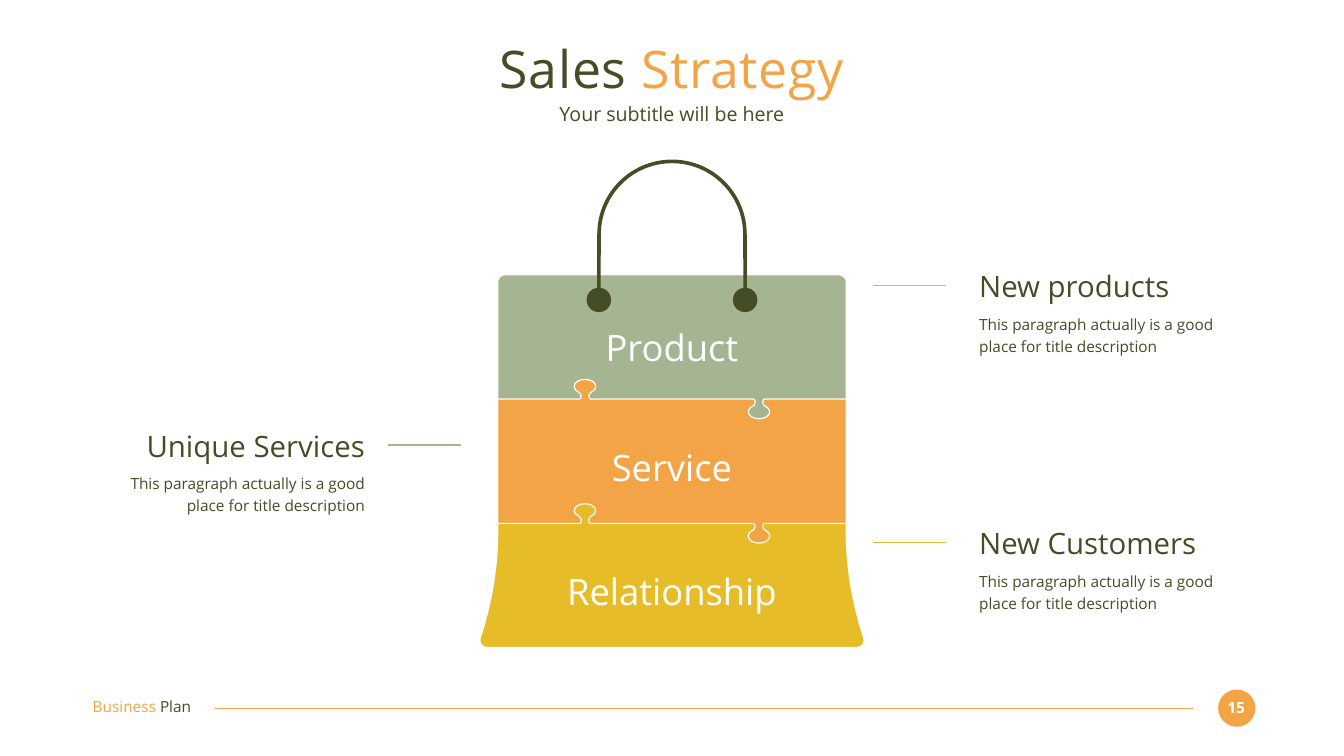
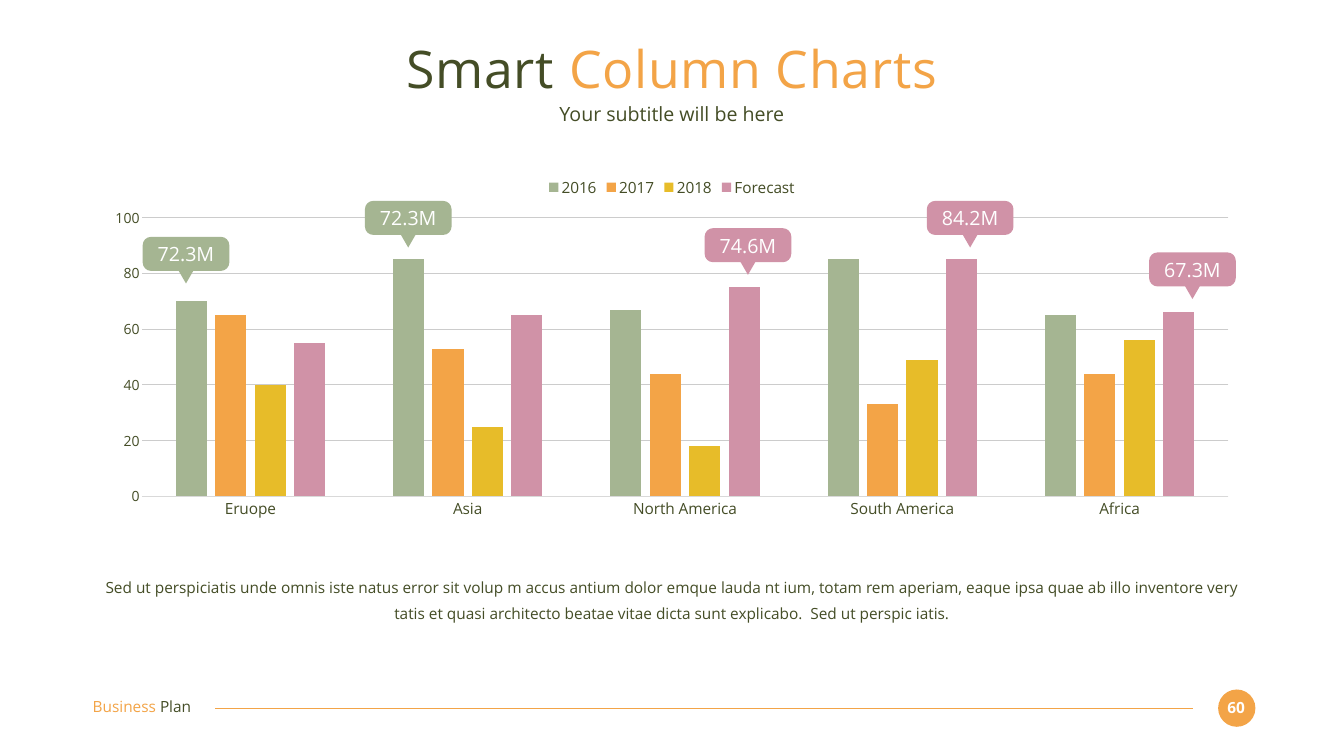
import math
from dataclasses import dataclass
from typing import NamedTuple

from lxml import etree
from pptx import Presentation
from pptx import slide as sld
from pptx import util as u
from pptx.chart import data
from pptx.dml import color
from pptx.enum import chart as charts
from pptx.enum import shapes, text
from pptx.oxml import ns

Pt = u.Pt
Run = tuple[str, str]  # words, colour


class Node(NamedTuple):
    """Outline point; two control nodes before a plain one make a curve."""
    x: float
    y: float
    control: bool = False


@dataclass(frozen=True)
class Theme:
    font: str = "Open Sans"
    dark: str = "444D26"
    orange: str = "F3A447"
    sage: str = "A5B592"
    gold: str = "E7BC29"
    pink: str = "D092A7"
    white: str = "FFFFFF"
    grid: str = "CCCCCC"
    axis: str = "D9D9D9"
    title: float = 74
    bag_label: float = 52
    heading: float = 42
    subtitle: float = 28
    body: float = 22
    tick: float = 20
    rule: float = 1.5


@dataclass(frozen=True)
class Box:
    left: float
    top: float
    width: float
    height: float


@dataclass(frozen=True)
class BagLabel:
    words: str
    top: float


@dataclass(frozen=True)
class Note:
    heading: str
    left: float
    top: float
    rule_from: float
    rule_colour: str
    align: text.PP_ALIGN


@dataclass(frozen=True)
class Callout:
    words: str
    left: float
    top: float
    colour: str


THEME = Theme()
LEFT, CENTRE, RIGHT = text.PP_ALIGN.LEFT, text.PP_ALIGN.CENTER, text.PP_ALIGN.RIGHT
WIDTH, HEIGHT = 1920, 1080
MIDDLE = WIDTH / 2
MARGIN, CONTENT_WIDTH = 131.8, 1656

# Shopping bag: three equal bands, joined by puzzle seams
BAG_TOP, BAND, HALF_BAG = 392.8, 177.4, 248.8
KNOB_SHIFT = 124.3
NOTE_TEXT = "This paragraph actually is a good place for title description"
BAG_LABELS = [
    BagLabel("Product", 464.4),
    BagLabel("Service", 635.8),
    BagLabel("Relationship", 812.4),
]
NOTES = [
    Note("Unique Services", MARGIN, 611.3, 658, THEME.sage, RIGHT),
    Note("New Customers", 1398.8, 750.3, 1351.5, THEME.gold, LEFT),
    Note("New products", 1398.8, 383.6, 1351.5, THEME.gold, LEFT),
]

# Regional sales
REGIONS = ["Eruope", "Asia", "North America", "South America", "Africa"]
SALES = {
    "2016": (THEME.sage, [70, 85, 67, 85, 65]),
    "2017": (THEME.orange, [65, 53, 44, 33, 44]),
    "2018": (THEME.gold, [40, 25, 18, 49, 56]),
    "Forecast": (THEME.pink, [55, 65, 75, 85, 66]),
}
CALLOUTS = [
    Callout("72.3M", 203.8, 338.4, THEME.sage),
    Callout("72.3M", 521.3, 287, THEME.sage),
    Callout("74.6M", 1006.6, 326, THEME.pink),
    Callout("84.2M", 1324, 287, THEME.pink),
    Callout("67.3M", 1641.6, 360.6, THEME.pink),
]
SUMMARY = (
    "Sed ut perspiciatis unde omnis iste natus error sit volup m accus antium dolor "
    "emque lauda nt ium, totam rem aperiam, eaque ipsa quae ab illo inventore very "
    "tatis et quasi architecto beatae vitae dicta sunt explicabo.  Sed ut perspic iatis."
)


# Geometry
def arc(cx: float, cy: float, radius: float, start: float, end: float) -> list[Node]:
    """Circle arc as Bezier curves, angles in degrees clockwise from the right."""
    pieces = math.ceil(abs(end - start) / 90)
    step = math.radians(end - start) / pieces
    reach = 4 / 3 * math.tan(step / 4)
    nodes = []
    for i in range(pieces + 1):
        angle = math.radians(start) + step * i
        cos, sin = radius * math.cos(angle), radius * math.sin(angle)
        before = Node(cx + cos + reach * sin, cy + sin - reach * cos, True)
        after = Node(cx + cos - reach * sin, cy + sin + reach * cos, True)
        nodes += [before, Node(cx + cos, cy + sin), after]
    return nodes[1:-1]


def mirrored(nodes: list[Node], axis: float = MIDDLE) -> list[Node]:
    return [Node(2 * axis - n.x, n.y, n.control) for n in reversed(nodes)]


def knob(cx: float, seam_y: float, direction: int) -> list[Node]:
    """Puzzle knob from left to right; direction -1 points up, 1 points down."""
    half = [
        Node(0, 28.1), Node(8.3, 28.1, True), Node(15.4, 24, True),
        Node(15.4, 18), Node(15.4, 15, True), Node(13, 11.5, True),
        Node(8.9, 10), Node(6.8, 9, True), Node(5.5, 7, True),
        Node(5.5, 4.5), Node(5.5, 2, True), Node(6.5, 0, True), Node(7.5, 0),
    ]
    return [Node(cx + n.x, seam_y + direction * n.y, n.control)
            for n in mirrored(half, 0) + half[1:]]


def seam(y: float) -> list[Node]:
    return [
        Node(MIDDLE - HALF_BAG, y),
        *knob(MIDDLE - KNOB_SHIFT, y, -1),
        *knob(MIDDLE + KNOB_SHIFT, y, 1),
        Node(MIDDLE + HALF_BAG, y),
    ]


def handle_outline() -> list[Node]:
    half = [
        *arc(MIDDLE, 334.8, 106.8, -90, 0),
        *arc(MIDDLE + 104.5, 428.5, 17.6, -82, 262),
        *arc(MIDDLE, 334.8, 101.6, 0, -90),
    ]
    return half + mirrored(half)[1:]


def callout_outline(left: float, top: float) -> list[Node]:
    axis, radius, bottom = left + 61.9, 12, top + 48.6
    edge = left + 123.8 - radius
    half = [
        *arc(edge, top + radius, radius, -90, 0),
        *arc(edge, bottom - radius, radius, 0, 90),
        Node(axis + 10.4, bottom),
        Node(axis, bottom + 18),
    ]
    return half + mirrored(half, axis)[1:]


# Drawing
def rgb(value: str) -> color.RGBColor:
    return color.RGBColor.from_string(value)


def add_text(slide: sld.Slide, box: Box, runs: list[Run], size: float,
             align: text.PP_ALIGN = CENTRE, bold: bool = False,
             line_spacing: float = 1.0, tracking: float = 0) -> None:
    frame = slide.shapes.add_textbox(
        Pt(box.left), Pt(box.top), Pt(box.width), Pt(box.height)).text_frame
    frame.word_wrap = True
    frame.margin_left = frame.margin_right = frame.margin_top = frame.margin_bottom = 0
    paragraph = frame.paragraphs[0]
    paragraph.alignment = align
    paragraph.line_spacing = line_spacing
    for words, colour in runs:
        run = paragraph.add_run()
        run.text = words
        run.font.name, run.font.size, run.font.bold = THEME.font, Pt(size), bold
        run.font.color.rgb = rgb(colour)
        if tracking:
            run._r.get_or_add_rPr().set("spc", str(int(tracking * 100)))


def add_outline(slide: sld.Slide, nodes: list[Node], fill: str, edge: str = "") -> None:
    first, *rest = [(Pt(n.x), Pt(n.y)) for n in nodes]
    builder = slide.shapes.build_freeform(*first)
    builder.add_line_segments(rest, close=True)
    outline = builder.convert_to_shape()
    # Turn each run of two controls and an end point into one curve
    steps = list(outline._element.iter(ns.qn("a:lnTo")))
    for i, step in enumerate(steps):
        if nodes[i + 1].control and not nodes[i].control:
            bend = etree.Element(ns.qn("a:cubicBezTo"))
            step.addprevious(bend)
            for part in steps[i:i + 3]:
                bend.append(part[0])
                part.getparent().remove(part)
    outline.shadow.inherit = False
    outline.fill.solid()
    outline.fill.fore_color.rgb = rgb(fill)
    if edge:
        outline.line.color.rgb = rgb(edge)
        outline.line.width = Pt(THEME.rule)
    else:
        outline.line.fill.background()


def add_rule(slide: sld.Slide, start: float, end: float, y: float, colour: str) -> None:
    rule = slide.shapes.add_connector(
        shapes.MSO_CONNECTOR.STRAIGHT, Pt(start), Pt(y), Pt(end), Pt(y))
    rule.line.color.rgb = rgb(colour)
    rule.line.width = Pt(THEME.rule)
    etree.SubElement(rule._element.spPr, ns.qn("a:effectLst"))


def add_page(deck, number: int, lead: str, accent: str) -> sld.Slide:
    """Blank slide with the shared footer, title and subtitle."""
    slide = deck.slides.add_slide(deck.slide_layouts[6])
    badge = slide.shapes.add_shape(
        shapes.MSO_SHAPE.OVAL, Pt(1740.2), Pt(985), Pt(53.3), Pt(53.3))
    badge.shadow.inherit = False
    badge.fill.solid()
    badge.fill.fore_color.rgb = rgb(THEME.orange)
    badge.line.fill.background()
    add_text(slide, Box(1744.5, 997, 42.5, 26.6), [(str(number), THEME.white)],
             THEME.body, bold=True)
    add_rule(slide, 1704, 307.5, 1011.6, THEME.orange)
    add_text(slide, Box(132.4, 996.4, 186.5, 26.6),
             [("Business ", THEME.orange), ("Plan", THEME.dark)], THEME.body, LEFT)
    add_text(slide, Box(MARGIN, 52.5, CONTENT_WIDTH, 91.5),
             [(lead, THEME.dark), (accent, THEME.orange)], THEME.title, tracking=1)
    add_text(slide, Box(MARGIN, 146, CONTENT_WIDTH, 35.3),
             [("Your subtitle will be here", THEME.dark)], THEME.subtitle)
    return slide


def add_bag(slide: sld.Slide) -> None:
    upper, lower, base = (BAG_TOP + BAND * i for i in (1, 2, 3))
    edge = MIDDLE + HALF_BAG
    flare = [
        Node(edge, 756.7), Node(edge, 809.3, True), Node(1217.4, 861.8, True),
        Node(1234, 911.5), Node(1236.2, 918, True), Node(1231.2, base, True),
        Node(1224.2, base),
    ]
    shoulder = arc(edge - 10, BAG_TOP + 10, 10, -90, 0)
    relationship = seam(lower) + flare + mirrored(flare)
    product = mirrored(shoulder) + shoulder + seam(upper)[::-1]
    service = seam(upper) + seam(lower)[::-1]
    add_outline(slide, relationship, THEME.gold, THEME.white)
    add_outline(slide, product, THEME.sage, THEME.white)
    add_outline(slide, service, THEME.orange, THEME.white)
    add_outline(slide, handle_outline(), THEME.dark)
    for label in BAG_LABELS:
        add_text(slide, Box(MIDDLE - 189.7, label.top, 379.4, 63.4),
                 [(label.words, THEME.white)], THEME.bag_label)


def add_note(slide: sld.Slide, note: Note) -> None:
    add_rule(slide, note.rule_from, note.rule_from - 103.7, note.top + 24.4,
             note.rule_colour)
    add_text(slide, Box(note.left, note.top, 389.5, 51.1),
             [(note.heading, THEME.dark)], THEME.heading, note.align)
    add_text(slide, Box(note.left, note.top + 61.2, 389.5, 64),
             [(NOTE_TEXT, THEME.dark)], THEME.body, note.align, line_spacing=1.2)


def style_font(font, size: float) -> None:
    font.name, font.size, font.bold = THEME.font, Pt(size), False
    font.color.rgb = rgb(THEME.dark)


def add_sales_chart(slide: sld.Slide) -> None:
    sales = data.CategoryChartData()
    sales.categories = REGIONS
    for year, (_, values) in SALES.items():
        sales.add_series(year, values)
    chart = slide.shapes.add_chart(
        charts.XL_CHART_TYPE.COLUMN_CLUSTERED, Pt(MARGIN), Pt(243.4),
        Pt(CONTENT_WIDTH), Pt(508), sales).chart
    style_font(chart.font, THEME.body)
    chart.has_title = False
    chart.has_legend = True
    chart.legend.position = charts.XL_LEGEND_POSITION.TOP
    chart.legend.include_in_layout = False
    style_font(chart.legend.font, THEME.body)

    columns = chart.plots[0]
    columns.gap_width, columns.overlap, columns.vary_by_categories = 219, -27, False
    for series, (colour, _) in zip(columns.series, SALES.values()):
        series.format.fill.solid()
        series.format.fill.fore_color.rgb = rgb(colour)

    regions, amounts = chart.category_axis, chart.value_axis
    for axis, size in ((regions, THEME.body), (amounts, THEME.tick)):
        axis.major_tick_mark = axis.minor_tick_mark = charts.XL_TICK_MARK.NONE
        style_font(axis.tick_labels.font, size)
    regions.format.line.color.rgb = rgb(THEME.axis)
    regions.format.line.width = Pt(0.75)
    amounts.minimum_scale, amounts.maximum_scale, amounts.major_unit = 0, 100, 20
    amounts.format.line.fill.background()
    amounts.major_gridlines.format.line.color.rgb = rgb(THEME.grid)
    amounts.major_gridlines.format.line.width = Pt(1)


def main() -> None:
    deck = Presentation()
    deck.slide_width, deck.slide_height = Pt(WIDTH), Pt(HEIGHT)
    # Sales strategy
    strategy = add_page(deck, 15, "Sales ", "Strategy")
    add_bag(strategy)
    for note in NOTES:
        add_note(strategy, note)
    # Column charts
    columns = add_page(deck, 60, "Smart ", "Column Charts")
    add_sales_chart(columns)
    add_text(columns, Box(MARGIN, 816, CONTENT_WIDTH, 71),
             [(SUMMARY, THEME.dark)], THEME.body, line_spacing=1.4)
    for callout in CALLOUTS:
        add_outline(columns, callout_outline(callout.left, callout.top), callout.colour)
        add_text(columns, Box(callout.left + 10, callout.top + 7.5, 103.7, 33.8),
                 [(callout.words, THEME.white)], THEME.subtitle)
    deck.save("out.pptx")


if __name__ == "__main__":
    main()
